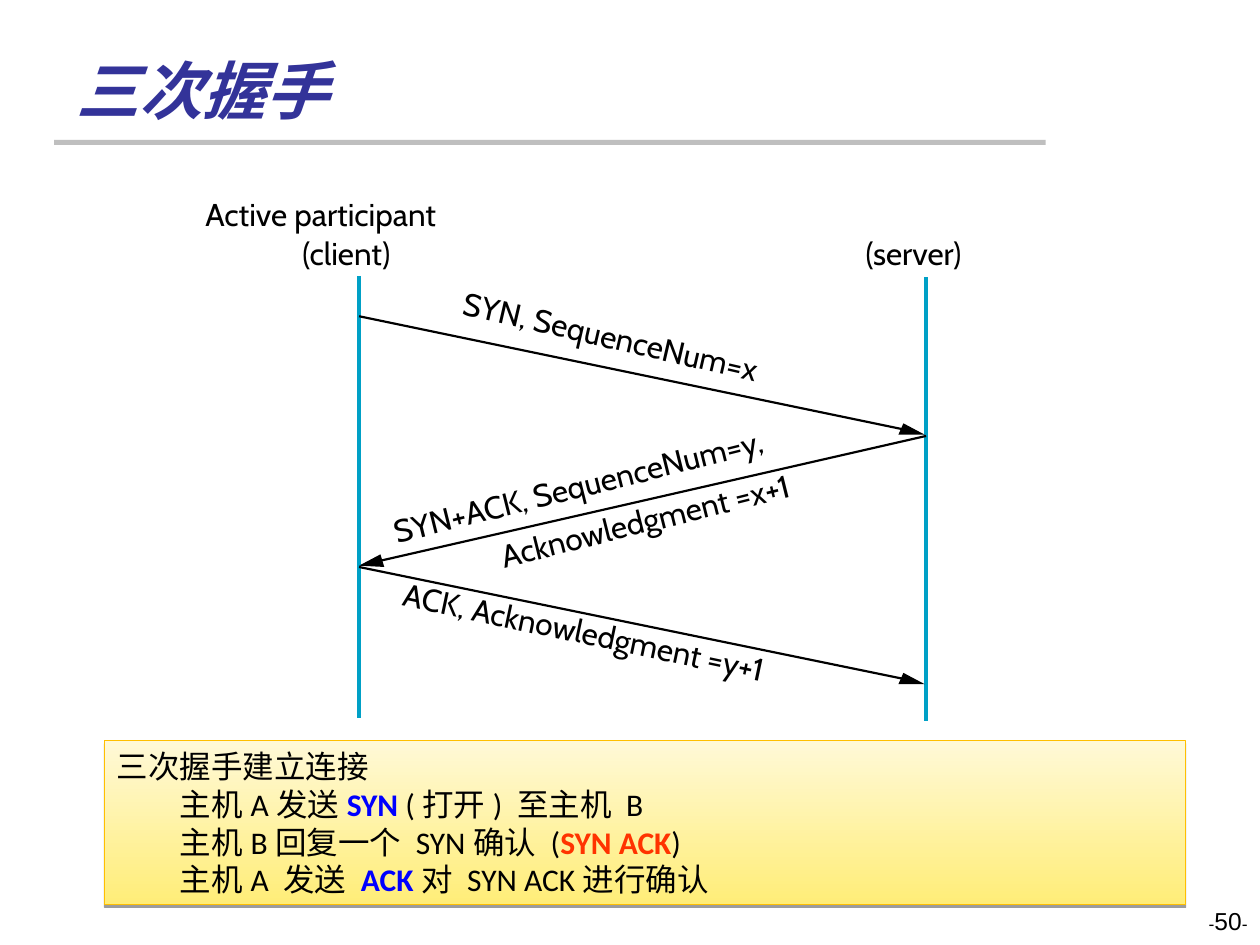
import pptx
import pptx.dml.color
import pptx.enum.shapes
import pptx.enum.text
import pptx.oxml
import pptx.util
from pptx.util import Inches

NS = 'xmlns:a="http://schemas.openxmlformats.org/drawingml/2006/main"'
BLACK, BLUE, RED = "000000", "0000FF", "FF3300"
ANCHOR = pptx.enum.text.MSO_ANCHOR
ALIGN = pptx.enum.text.PP_ALIGN
RECTANGLE = pptx.enum.shapes.MSO_SHAPE.RECTANGLE


def rgb(color):
    return pptx.dml.color.RGBColor.from_string(color)


class SlideBuilder:
    label_font, text_font, number_font = "Cabin", "Calibri", "Arial"
    text_size = 18

    def __init__(self, slide):
        self.slide = slide
        self.shapes = slide.shapes

    def run(self, paragraph, text, font, size, color=BLACK, bold=False, italic=False):
        run = paragraph.add_run()
        run.text = text
        run.font.name = font
        run.font.size = pptx.util.Pt(size)
        run.font.bold = bold
        run.font.italic = italic
        run.font.color.rgb = rgb(color)

    def title(self, text, left, top, width, height):
        title = self.shapes.title
        title.left, title.top = Inches(left), Inches(top)
        title.width, title.height = Inches(width), Inches(height)
        frame = title.text_frame
        frame.auto_size = pptx.enum.text.MSO_AUTO_SIZE.NONE
        frame.vertical_anchor = ANCHOR.BOTTOM
        frame.paragraphs[0].alignment = ALIGN.LEFT
        self.run(frame.paragraphs[0], text, self.text_font, 36, "333399", True, True)

    def text_box(self, left, top, width, height):
        return self.shapes.add_textbox(
            Inches(left), Inches(top), Inches(width), Inches(height))

    def label(self, text, left, top, width, rotation=0, wrap=False):
        label = self.text_box(left, top, width, 0.3)
        label.rotation = rotation
        frame = label.text_frame
        frame.margin_left = frame.margin_right = 0
        frame.margin_top = frame.margin_bottom = 0
        frame.word_wrap = wrap
        frame.auto_size = pptx.enum.text.MSO_AUTO_SIZE.SHAPE_TO_FIT_TEXT
        self.run(frame.paragraphs[0], text, self.label_font, self.text_size)

    def page_number(self, number, left, top, width, height):
        frame = self.text_box(left, top, width, height).text_frame
        frame.word_wrap = True
        paragraph = frame.paragraphs[0]
        paragraph.alignment = ALIGN.RIGHT
        for text, size in (("-", 10), (number, 14), ("-", 10)):
            self.run(paragraph, text, self.number_font, size)

    def rectangle(self, left, top, width, height):
        rectangle = self.shapes.add_shape(
            RECTANGLE, Inches(left), Inches(top), Inches(width), Inches(height))
        rectangle.shadow.inherit = False
        return rectangle

    def rule(self, left, top, width, height, color):
        rule = self.rectangle(left, top, width, height)
        rule.fill.solid()
        rule.fill.fore_color.rgb = rgb(color)
        rule.line.fill.background()

    def line(self, start, end, color, width):
        line = self.shapes.add_connector(
            pptx.enum.shapes.MSO_CONNECTOR.STRAIGHT, *map(Inches, start + end))
        line.line.color.rgb = rgb(color)
        line.line.width = pptx.util.Pt(width)
        line._element.spPr.append(pptx.oxml.parse_xml(f"<a:effectLst {NS}/>"))

    def arrowhead(self, *points):
        first, *others = [tuple(map(Inches, point)) for point in points]
        builder = self.shapes.build_freeform(*first)
        builder.add_line_segments(others, close=True)
        head = builder.convert_to_shape()
        head.shadow.inherit = False
        head.fill.solid()
        head.fill.fore_color.rgb = rgb(BLACK)
        head.line.fill.background()

    def summary(self, heading, steps, left, top, width, height):
        panel = self.rectangle(left, top, width, height)
        panel.fill.gradient()
        panel.fill.gradient_angle = 90
        for stop, color in zip(panel.fill.gradient_stops, ("FFED78", "FFF9D7")):
            stop.color.rgb = rgb(color)
        for stop, position in zip(panel.fill.gradient_stops, (0, 1)):
            stop.position = position
        panel.line.color.rgb = rgb("FFBF00")
        panel.line.width = pptx.util.Pt(0.75)
        # Thin shadow below the panel
        effects = panel._element.spPr.find(pptx.oxml.ns.qn("a:effectLst"))
        effects.append(pptx.oxml.parse_xml(
            f'<a:outerShdw {NS} blurRad="0" dist="{pptx.util.Pt(1.6)}" dir="5400000" '
            'rotWithShape="0"><a:srgbClr val="000000"><a:alpha val="38000"/>'
            '</a:srgbClr></a:outerShdw>'))

        frame = panel.text_frame
        frame.word_wrap = True
        frame.auto_size = pptx.enum.text.MSO_AUTO_SIZE.SHAPE_TO_FIT_TEXT
        frame.vertical_anchor = ANCHOR.TOP
        frame.paragraphs[0].alignment = ALIGN.LEFT
        self.run(frame.paragraphs[0], heading, self.text_font, self.text_size)
        for before, signal, color, after in steps:
            step = frame.add_paragraph()
            step.level = 1
            step.alignment = ALIGN.LEFT
            properties = step._p.get_or_add_pPr()
            properties.set("marL", str(Inches(0.5)))
            properties.set("indent", "0")
            self.run(step, before, self.text_font, self.text_size)
            self.run(step, signal, self.text_font, self.text_size, color, bold=True)
            self.run(step, after, self.text_font, self.text_size)


def main():
    deck = pptx.Presentation()
    deck.slide_width, deck.slide_height = Inches(10), Inches(7.5)
    page = SlideBuilder(deck.slides.add_slide(deck.slide_layouts[5]))

    # Heading and page number
    page.rule(0.43, 1.11, 7.87, 0.04, "BFBFBF")
    page.page_number("50", 7.67, 7.14, 2.33, 0.5)
    page.title("三次握手", 0.51, 0.28, 8.25, 0.78)

    # Participants and their timelines
    client_x, server_x = 2.85, 7.35
    page.label("Active participant", 1.63, 1.55, 2.04)
    page.label("(client)", 2.4, 1.86, 0.8)
    page.label("(server)", 6.87, 1.86, 0.9)
    page.line((client_x, 2.19), (client_x, 5.7), "00A0C6", 2.38)
    page.line((server_x, 2.2), (server_x, 5.72), "00A0C6", 2.38)

    # Messages to the server
    for start_y, end_y, tip_y in ((2.51, 3.41, 3.45), (4.5, 5.39, 5.43)):
        page.line((client_x, start_y), (7.18, end_y), BLACK, 1.25)
        page.arrowhead((7.13, tip_y), (7.34, tip_y), (7.17, tip_y - 0.09))

    # Reply to the client
    page.line((server_x, 3.46), (3.02, 4.45), BLACK, 1.25)
    page.arrowhead((3.02, 4.4), (client_x, 4.49), (3.05, 4.5))

    # Message labels
    page.label("SYN, SequenceNum=x", 3.65, 2.54, 2.6, 13)
    page.label("SYN+ACK, SequenceNum=y,", 3.07, 3.59, 3.95, -14, wrap=True)
    page.label("Acknowledgment =x+1", 3.94, 3.94, 2.66, -14)
    page.label("ACK, Acknowledgment =y+1", 3.17, 4.9, 3.27, 12)

    # Summary of the three steps
    steps = (
        ("主机A发送", "SYN", BLUE, " (打开) 至主机 B"),
        ("主机B回复一个 SYN确认 (", "SYN ACK", RED, ")"),
        ("主机A 发送 ", "ACK", BLUE, "对 SYN ACK进行确认"),
    )
    page.summary("三次握手建立连接", steps, 0.83, 5.88, 8.58, 1.3)

    deck.save("out.pptx")


if __name__ == "__main__":
    main()
